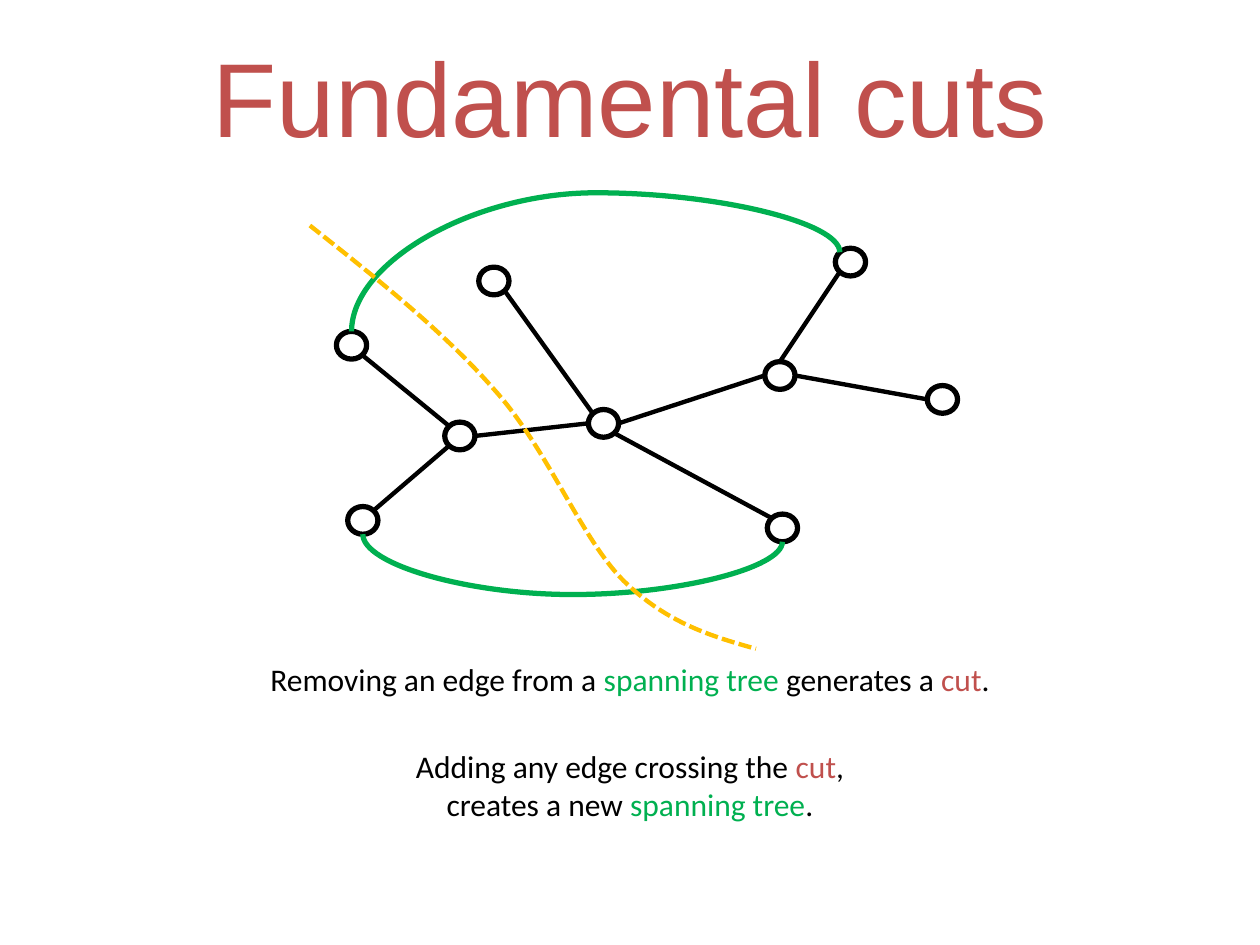
from math import cos, radians, sin

from lxml.etree import SubElement
from pptx import Presentation
from pptx.dml.color import RGBColor
from pptx.enum.dml import MSO_LINE
from pptx.enum.shapes import MSO_CONNECTOR as CONN, MSO_SHAPE as SHAPE
from pptx.enum.text import MSO_ANCHOR as ANCHOR, PP_ALIGN as ALIGN
from pptx.oxml.ns import qn
from pptx.util import Inches, Pt

BLACK = RGBColor(0x00, 0x00, 0x00)
RED = RGBColor(0xC0, 0x50, 0x4D)
GREEN = RGBColor(0x00, 0xB0, 0x50)
AMBER = RGBColor(0xFF, 0xC0, 0x00)

NODE_W, NODE_H = 0.24, 0.22
# Attachment points on a node, in degrees clockwise from the right
SITES = {"r": 0, "br": 45, "b": 90, "bl": 135, "l": 180, "tl": 225, "t": 270, "tr": 315}

# Left and top of each node
NODES = {
    "upper right": (6.63, 1.97), "hub": (4.67, 3.25), "upper mid": (3.8, 2.12),
    "fork": (6.07, 2.87), "upper left": (2.67, 2.63), "lower right": (6.09, 4.08),
    "far right": (7.36, 3.06), "junction": (3.53, 3.35), "lower left": (2.76, 4.02),
}
TREE_EDGES = [
    ("hub", "tl", "upper mid", "br"),
    ("fork", "t", "upper right", "bl"),
    ("upper left", "br", "junction", "tl"),
    ("lower right", "tl", "hub", "br"),
    ("hub", "l", "junction", "r"),
    ("hub", "r", "fork", "l"),
    ("far right", "l", "fork", "r"),
    ("lower left", "tr", "junction", "bl"),
]
# Start of the cut, then three Bezier points for each piece
CUT = [(2.46, 1.79),
       (2.99, 2.21), (3.52, 2.63), (3.93, 3.1),
       (4.35, 3.57), (4.61, 4.27), (4.95, 4.61),
       (5.3, 4.95), (5.65, 5.05), (6, 5.15)]


def site(node, side):
    left, top = NODES[node]
    a = radians(SITES[side])
    return (left + NODE_W / 2 * (1 + cos(a)), top + NODE_H / 2 * (1 + sin(a)))


class Deck:
    def __init__(self):
        self.prs = Presentation()
        self.prs.slide_width, self.prs.slide_height = Inches(10), Inches(7.5)
        self.s = self.prs.slides.add_slide(self.prs.slide_layouts[6])

    def text(self, top, height, lines, size, font, anchor=ANCHOR.TOP):
        """Centred full-width paragraph; each line is a list of (text, colour)."""
        box = self.s.shapes.add_textbox(0, Inches(top), Inches(10), Inches(height))
        tf = box.text_frame
        tf.word_wrap = True
        tf.vertical_anchor = anchor
        p = tf.paragraphs[0]
        p.alignment = ALIGN.CENTER
        p.font.size, p.font.name = Pt(size), font
        for i, line in enumerate(lines):
            if i:
                p.add_line_break()
            for words, color in line:
                r = p.add_run()
                r.text = words
                r.font.color.rgb = color

    def node(self, left, top):
        sp = self.s.shapes.add_shape(SHAPE.OVAL, Inches(left), Inches(top),
                                     Inches(NODE_W), Inches(NODE_H))
        sp.shadow.inherit = False
        sp.fill.background()
        self.stroke(sp, BLACK, 3)

    def edge(self, start, end, color=BLACK, width=2.5, kind=CONN.STRAIGHT):
        c = self.s.shapes.add_connector(kind, *(Inches(v) for v in (*start, *end)))
        self.stroke(c, color, width)
        SubElement(c._element.spPr, qn("a:effectLst"))
        return c

    def arc(self, start, end, reach):
        """Curved connector running left to right, bulging to height reach."""
        (x1, y1), (x2, y2) = start, end
        w, h = abs(y2 - y1), x2 - x1
        left, top = (x1 + x2 - w) / 2, (y1 + y2 - h) / 2
        c = self.edge((left, top), (left + w, top + h), GREEN, 3, CONN.CURVE)
        xfrm = c._element.spPr.find(qn("a:xfrm"))
        rising = y2 < y1
        xfrm.set("rot", str((90 if rising else 270) * 60000))
        xfrm.set("flipH", "1")
        if rising:
            xfrm.set("flipV", "1")
        guides = c._element.spPr.find(qn("a:prstGeom")).find(qn("a:avLst"))
        bulge = round((reach - y1) / (y2 - y1) * 100000)
        SubElement(guides, qn("a:gd"), name="adj1", fmla=f"val {bulge}")

    def dashed_curve(self, points, color, width):
        pts = [(Inches(x), Inches(y)) for x, y in points]
        fb = self.s.shapes.build_freeform(*pts[0])
        fb.add_line_segments(pts[1:], close=False)
        sp = fb.convert_to_shape()
        sp.shadow.inherit = False
        sp.fill.background()
        self.stroke(sp, color, width)
        sp.line.dash_style = MSO_LINE.SQUARE_DOT
        # Group the vertices three by three into Bezier pieces
        outline = next(sp._element.iter(qn("a:path")))
        for i, seg in enumerate(outline.findall(qn("a:lnTo"))):
            if i % 3 == 0:
                bezier = SubElement(outline, qn("a:cubicBezTo"))
            bezier.append(seg[0])
            outline.remove(seg)

    def stroke(self, shape, color, width):
        shape.line.color.rgb = color
        shape.line.width = Pt(width)


def main():
    d = Deck()

    # Title
    d.text(0.2, 1.11, [[("Fundamental cuts", RED)]], 60, "Arial", ANCHOR.MIDDLE)

    # Spanning tree
    for left, top in NODES.values():
        d.node(left, top)
    for a, a_side, b, b_side in TREE_EDGES:
        d.edge(site(a, a_side), site(b, b_side))

    # Edges outside the tree
    d.arc(site("lower left", "b"), site("lower right", "b"), 4.72)
    d.arc(site("upper left", "t"), site("upper right", "tl"), 1.53)

    # Cut
    d.dashed_curve(CUT, AMBER, 2.5)

    # Statements
    d.text(5.19, 0.57, [[("Removing an edge from a ", BLACK), ("spanning tree ", GREEN),
                         ("generates a ", BLACK), ("cut", RED), (".", BLACK)]],
           18, "Calibri")
    d.text(5.88, 1.04, [[("Adding any edge crossing the ", BLACK), ("cut", RED),
                         (",", BLACK)],
                        [("creates a new ", BLACK), ("spanning tree", GREEN),
                         (".", BLACK)]],
           18, "Calibri")

    d.prs.save("out.pptx")


if __name__ == "__main__":
    main()
